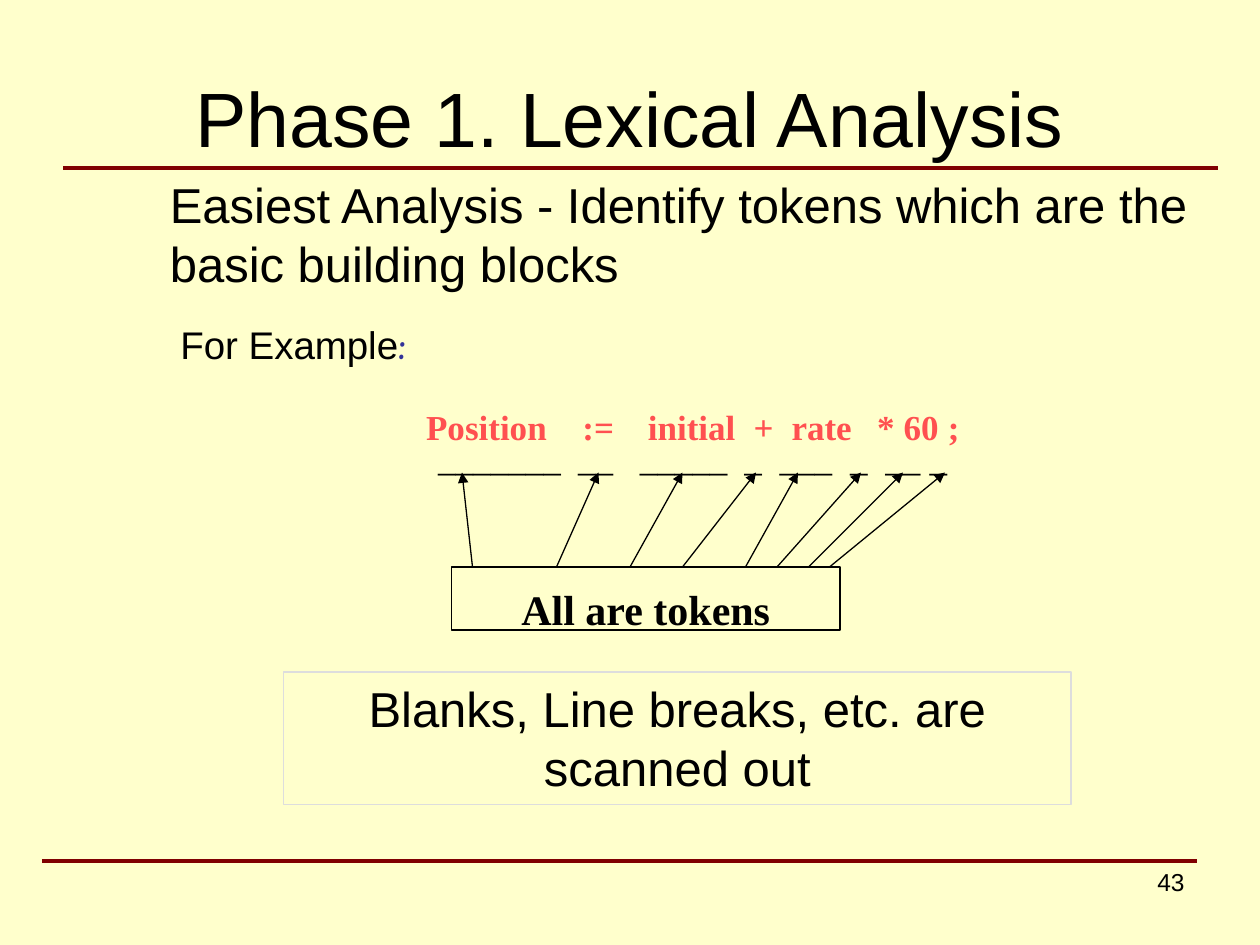
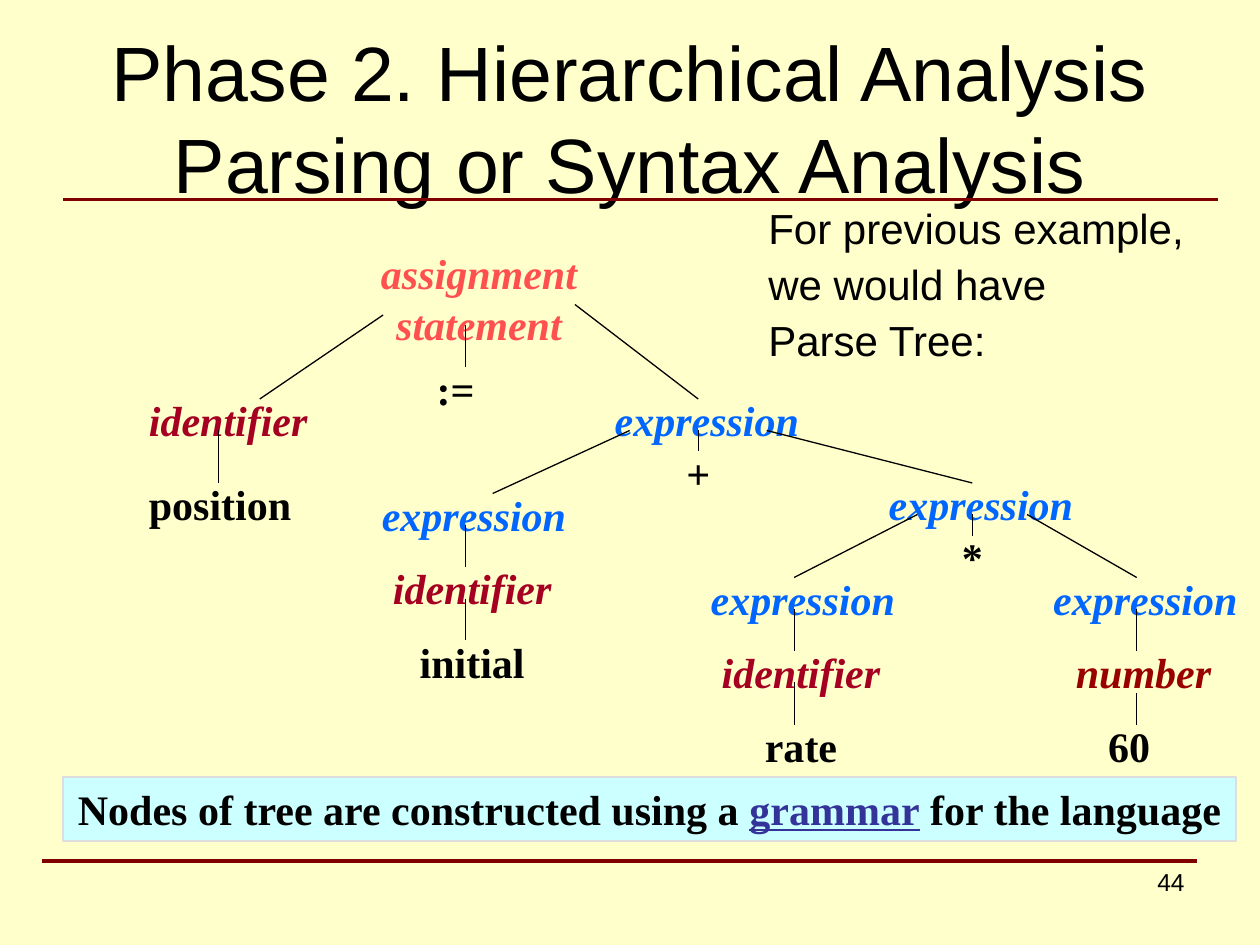
from lxml import etree
from pptx import Presentation
from pptx.dml.color import RGBColor
from pptx.enum.shapes import MSO_CONNECTOR, MSO_SHAPE
from pptx.enum.text import MSO_ANCHOR, MSO_AUTO_SIZE, PP_ALIGN
from pptx.oxml.ns import qn
from pptx.util import Inches, Pt

LEFT, MID, RIGHT = PP_ALIGN.LEFT, PP_ALIGN.CENTER, PP_ALIGN.RIGHT
TOP, CENTER = MSO_ANCHOR.TOP, MSO_ANCHOR.MIDDLE
GROW, FIXED = MSO_AUTO_SIZE.SHAPE_TO_FIT_TEXT, MSO_AUTO_SIZE.NONE
RECT, LINE = MSO_SHAPE.RECTANGLE, MSO_CONNECTOR.STRAIGHT

SANS, SERIF, COMIC = "Arial", "Times New Roman", "Comic Neue"
HUE = {
    "page": "FFFFCC", "ink": "000000", "rule": "800000", "edge": "DDDDDD",
    "band": "CCFFFF", "coral": "FF5050", "navy": "333399",
    "ident": "A50021", "expr": "0066FF", "number": "990000",
}

# The page is a grid of 120 by 90 units, twelve to the inch
UNIT = Inches(1) // 12
# The tree has 82 columns between unit 13 and the right edge
TREE_LEFT, TREE_COLS = 13, 82
TREE_STEP = (120 - TREE_LEFT) / TREE_COLS


def grid(*units):
    return [round(u * UNIT) for u in units]


def col(n):
    return TREE_LEFT + n * TREE_STEP


def rgb(name):
    return RGBColor.from_string(HUE[name])


def add_run(para, text, size, face=SANS, hue="ink", bold=False,
            slant=False, under=False):
    run = para.add_run()
    run.text = text
    font = run.font
    font.name, font.size = face, Pt(size)
    font.bold, font.italic, font.underline = bold, slant, under
    font.color.rgb = rgb(hue)


def set_frame(shape, align=LEFT, anchor=TOP, fit=GROW, wrap=True):
    """Prepare a text frame and return its first paragraph."""
    frame = shape.text_frame
    frame.word_wrap, frame.auto_size = wrap, fit
    frame.vertical_anchor = anchor
    para = frame.paragraphs[0]
    para.alignment = align
    return para


def add_text(shapes, place, text, size, align=LEFT, fit=GROW, **look):
    box = shapes.add_textbox(*grid(*place))
    para = set_frame(box, align, fit=fit)
    add_run(para, text, size, **look)
    return box


def add_rect(shapes, place, line, fill=None, width=0.75):
    rect = shapes.add_shape(RECT, *grid(*place))
    rect.shadow.inherit = False
    if fill:
        rect.fill.solid()
        rect.fill.fore_color.rgb = rgb(fill)
    else:
        rect.fill.background()
    rect.line.color.rgb = rgb(line)
    rect.line.width = Pt(width)
    return rect


def add_line(shapes, ends, hue="ink", width=0.75, arrow=False):
    line = shapes.add_connector(LINE, *grid(*ends))
    line.line.color.rgb = rgb(hue)
    line.line.width = Pt(width)
    props = line._element.spPr
    if arrow:
        tip = etree.SubElement(props.find(qn("a:ln")), qn("a:tailEnd"))
        tip.set("type", "triangle")
    etree.SubElement(props, qn("a:effectLst"))


def add_tabs(shapes, left, top, words, stops, **look):
    """One line of words, each at its own tab stop (inches)."""
    box = add_text(shapes, (left, top, 64, 5.2), "\t".join(words), 20,
                   face=SERIF, **look)
    props = box.text_frame.paragraphs[0]._p.get_or_add_pPr()
    tabs = etree.SubElement(props, qn("a:tabLst"))
    for stop in stops:
        etree.SubElement(tabs, qn("a:tab"), pos=str(Inches(stop)), algn="l")


def add_slide(deck, lines, rule, number):
    """Title, both rules and the page number."""
    slide = deck.slides.add_slide(deck.slide_layouts[5])
    title = slide.shapes.title
    title.left, title.top, title.width, title.height = grid(6, 3.6, 108, 15)
    para = set_frame(title, MID, CENTER, FIXED)
    for i, line in enumerate(lines):
        if i:
            para.add_line_break()
        add_run(para, line, 44)
    for left, top in ((6, rule), (4, 82)):
        add_line(slide.shapes, (left, top, left + 110, top), "rule", 2.25)
    add_text(slide.shapes, (86, 82, 28, 6.2), str(number), 14, RIGHT, FIXED)
    return slide.shapes


def add_lexer(deck):
    shapes = add_slide(deck, ["Phase 1. Lexical Analysis"], 16, 43)
    add_text(shapes, (15, 16, 101, 12.4), "Easiest Analysis - Identify tokens "
             "which are the basic building blocks", 28)
    box = add_text(shapes, (16, 30, 39, 5.6), "For Example", 22)
    add_run(box.text_frame.paragraphs[0], ":", 22, COMIC, "navy", True)

    # Box with an arrow to each token
    group = shapes.add_group_shape().shapes
    add_rect(group, (43, 54, 37, 6), "ink")
    add_text(group, (45, 55, 33, 6), "All are tokens", 24, MID,
             face=SERIF, bold=True)
    starts = (45, 53, 60, 65, 71, 74, 77, 79)
    tips = (44, 57, 65, 72, 76, 82, 86, 90)
    for start, tip in zip(starts, tips):
        add_line(group, (start, 54, tip, 45), arrow=True)

    # Tokens and the strokes below them
    words = ("Position", ":=", "initial", "+", "rate", "*", "60", ";")
    add_tabs(shapes, 39.4, 38, words,
             (1.24, 1.76, 2.6, 2.9, 3.58, 3.79, 4.14),
             hue="coral", bold=True)
    strokes = ["_" * n for n in (7, 2, 5, 1, 3, 1, 2, 1)]
    add_tabs(shapes, 40.55, 41, strokes,
             (1.11, 1.6, 2.43, 2.71, 3.27, 3.55, 3.9))

    note = add_rect(shapes, (27, 64, 75, 12.6), "edge")
    add_run(set_frame(note, MID), "Blanks, Line breaks, etc. are scanned out",
            28)


def add_tree(shapes):
    # Kind: colour and slant
    kinds = {
        "root": ("coral", True), "ident": ("ident", True),
        "expr": ("expr", True), "number": ("number", True),
        "leaf": ("ink", False),
    }
    # Word, kind, column, row, columns wide, alignment
    nodes = (
        ("assignment statement", "root", 16, 23, 18, MID),
        ("identifier", "ident", 0, 37, 15, LEFT),
        ("position", "leaf", 0, 45, 13, LEFT),
        (":=", "leaf", 21, 34, 6, LEFT),
        ("expression", "expr", 34, 37, 16, LEFT),
        ("+", "leaf", 38, 42, 6, MID),
        ("expression", "expr", 17, 46, 17, LEFT),
        ("identifier", "ident", 17, 53, 15, MID),
        ("initial", "leaf", 18, 60, 13, MID),
        ("expression", "expr", 54, 45, 16, LEFT),
        ("*", "leaf", 58, 50, 6, MID),
        ("expression", "expr", 41, 54, 16, LEFT),
        ("identifier", "ident", 41, 61, 15, MID),
        ("rate", "leaf", 42, 68, 13, MID),
        ("expression", "expr", 66, 54, 16, LEFT),
        ("number", "number", 66, 61, 15, MID),
        ("60", "leaf", 70, 68, 6, LEFT),
    )
    # Column and row of each end
    edges = (
        (24, 31, 24, 35), (18, 30, 9, 38), (6, 41, 6, 46),
        (32, 29, 41, 38), (41, 41, 41, 43), (36, 41, 26, 47),
        (24, 50, 24, 54), (24, 57, 24, 61), (46, 41, 61, 46),
        (61, 49, 61, 51), (57, 49, 48, 55), (65, 49, 73, 55),
        (48, 58, 48, 62), (48, 65, 48, 69), (73, 66, 73, 69),
        (73, 58, 73, 62),
    )
    for word, kind, left, row, wide, align in nodes:
        hue, slant = kinds[kind]
        high = 10.8 if kind == "root" else 6
        add_text(shapes, (col(left), row, wide * TREE_STEP, high), word, 24,
                 align, face=SERIF, hue=hue, bold=True, slant=slant)
    for x1, y1, x2, y2 in edges:
        add_line(shapes, (col(x1), y1, col(x2), y2))


def add_parser(deck):
    shapes = add_slide(deck, ["Phase 2. Hierarchical Analysis",
                              "Parsing or Syntax Analysis"], 19, 44)
    # Lead-in
    box = add_text(shapes, (72, 20, 48, 16.2), "For previous example,", 24)
    frame = box.text_frame
    for line in ("we would have", "Parse Tree:"):
        add_run(frame.add_paragraph(), line, 24)
    for para in frame.paragraphs:
        para.line_spacing, para.space_before = 0.7, Pt(12)

    add_tree(shapes.add_group_shape().shapes)

    # Closing band
    band = add_rect(shapes, (6, 74, 111.7, 6.1), "edge", "band", 1)
    para = set_frame(band, MID, wrap=False)
    add_run(para, "Nodes of tree are constructed using a ", 24, SERIF,
            bold=True)
    add_run(para, "grammar", 24, SERIF, "navy", True, under=True)
    add_run(para, " for the language", 24, SERIF, bold=True)


def main():
    deck = Presentation()
    deck.slide_width, deck.slide_height = grid(120, 90)
    fill = deck.slide_master.background.fill
    fill.solid()
    fill.fore_color.rgb = rgb("page")
    add_lexer(deck)
    add_parser(deck)
    deck.save("out.pptx")


main()
